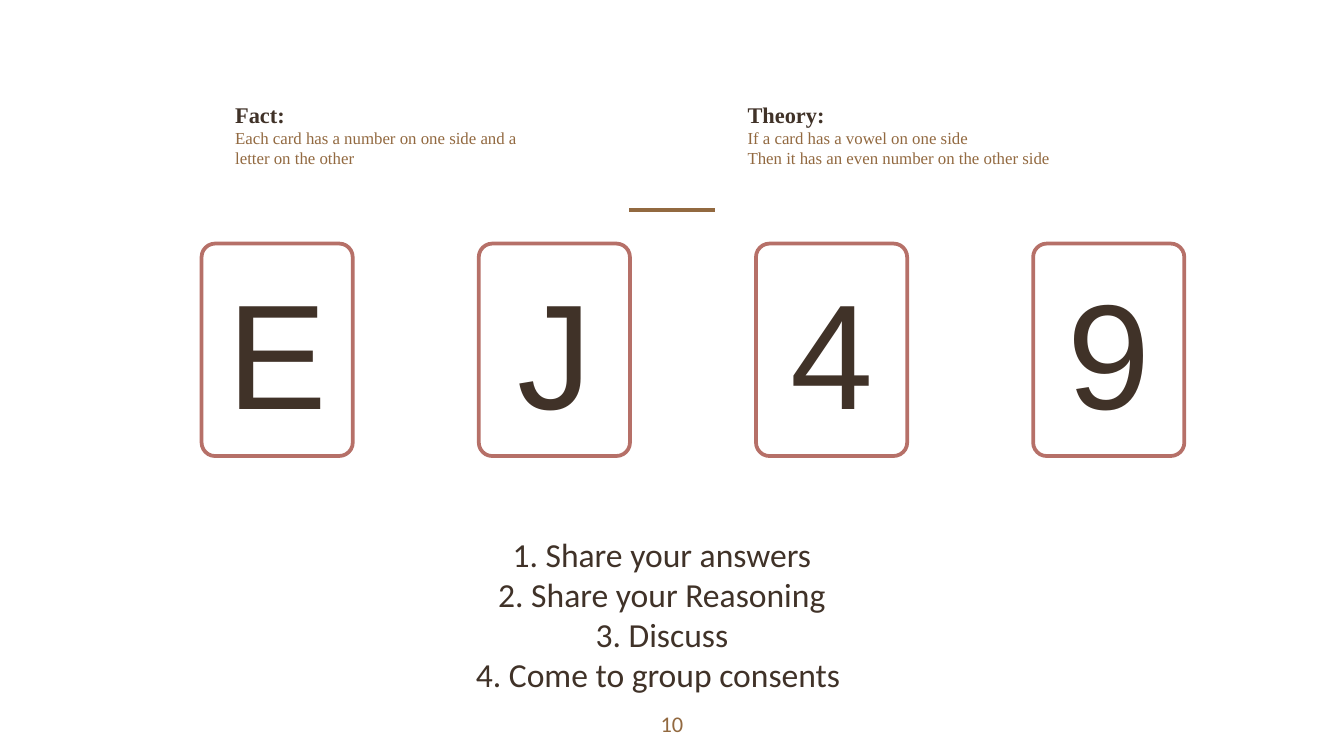
from lxml import etree
from pptx import Presentation
from pptx import util as u
from pptx.dml.color import RGBColor
from pptx.enum import shapes, text
from pptx.oxml.ns import qn

COLUMNS, ROWS = 160, 90
CELL = u.Inches(10) // COLUMNS
COLORS = {"ink": "403228", "accent": "926940", "border": "B67068", "paper": "FFFFFF"}


def color(name):
    """Return the named colour."""
    return RGBColor.from_string(COLORS[name])


def grid(*cells):
    """Turn grid columns and rows into slide lengths."""
    return [u.Emu(round(cell * CELL)) for cell in cells]


def set_font(para, name, size, tone, bold=False):
    """Set the font of a whole paragraph."""
    para.font.name = name
    para.font.size = u.Pt(size)
    para.font.bold = bold
    para.font.color.rgb = color(tone)


def add_text_box(page, area, inset):
    """Add a wrapping text box with equal insets and return its frame."""
    frame = page.shapes.add_textbox(*grid(*area)).text_frame
    frame.word_wrap = True
    frame.margin_left = frame.margin_right = u.Inches(inset)
    frame.margin_top = frame.margin_bottom = u.Inches(inset)
    return frame


def add_centred_text(page, area, words, size, tone, anchor):
    """Place one centred paragraph in the given area."""
    frame = add_text_box(page, area, 0.1)
    frame.vertical_anchor = anchor
    para = frame.paragraphs[0]
    para.text = words
    para.alignment = text.PP_ALIGN.CENTER
    set_font(para, "Calibri", size, tone)


def add_statement(page, area, heading, lines):
    """Place a bold heading with its explanation below."""
    frame = add_text_box(page, area, 0)
    para = frame.paragraphs[0]
    para.text = heading
    set_font(para, "Times New Roman", 12, "ink", bold=True)
    for line in lines:
        para = frame.add_paragraph()
        para.text = line
        set_font(para, "Times New Roman", 9, "accent")


def add_divider(page, left, right, row):
    """Draw the short rule above the cards."""
    line = page.shapes.add_connector(
        shapes.MSO_CONNECTOR.STRAIGHT, *grid(left, row, right, row))
    line.line.color.rgb = color("accent")
    line.line.width = u.Pt(2.25)
    etree.SubElement(line._element.spPr, qn("a:effectLst"))


def add_cards(page, area, faces, card_width):
    """Spread the cards evenly across the given area."""
    left, top, width, height = area
    step = (width - card_width) / (len(faces) - 1)
    for index, face in enumerate(faces):
        card = page.shapes.add_shape(
            shapes.MSO_SHAPE.ROUNDED_RECTANGLE,
            *grid(left + index * step, top, card_width, height))
        card.adjustments[0] = 0.09
        card.shadow.inherit = False
        card.fill.solid()
        card.fill.fore_color.rgb = color("paper")
        card.line.color.rgb = color("border")
        card.line.width = u.Pt(2)
        card.text_frame.vertical_anchor = text.MSO_ANCHOR.MIDDLE
        para = card.text_frame.paragraphs[0]
        para.text = face
        para.alignment = text.PP_ALIGN.CENTER
        set_font(para, "Arial", 80, "ink")


def main():
    """Build and save the card puzzle slide."""
    deck = Presentation()
    deck.slide_width, deck.slide_height = grid(COLUMNS, ROWS)
    page = deck.slides.add_slide(deck.slide_layouts[6])
    add_divider(page, 74.9, 85.1, 25)
    steps = ["1. Share your answers", "2. Share your Reasoning",
             "3. Discuss", "4. Come to group consents "]
    add_centred_text(page, (31.8, 58, 94, 26.3), "\v".join(steps), 18, "ink",
                     text.MSO_ANCHOR.BOTTOM)
    add_centred_text(page, (75.2, 83, 9.6, 6.9), "10", 12, "accent",
                     text.MSO_ANCHOR.TOP)
    add_statement(page, (28, 12, 35.4, 12.8), "Fact:",
                  ["Each card has a number on one side and a letter on the other"])
    add_statement(page, (89, 12, 40, 12.8), "Theory:",
                  ["If a card has a vowel on one side",
                   "Then it has an even number on the other side"])
    add_cards(page, (24, 29, 117, 25.3), "EJ49", 18)
    deck.save("out.pptx")


if __name__ == "__main__":
    main()
